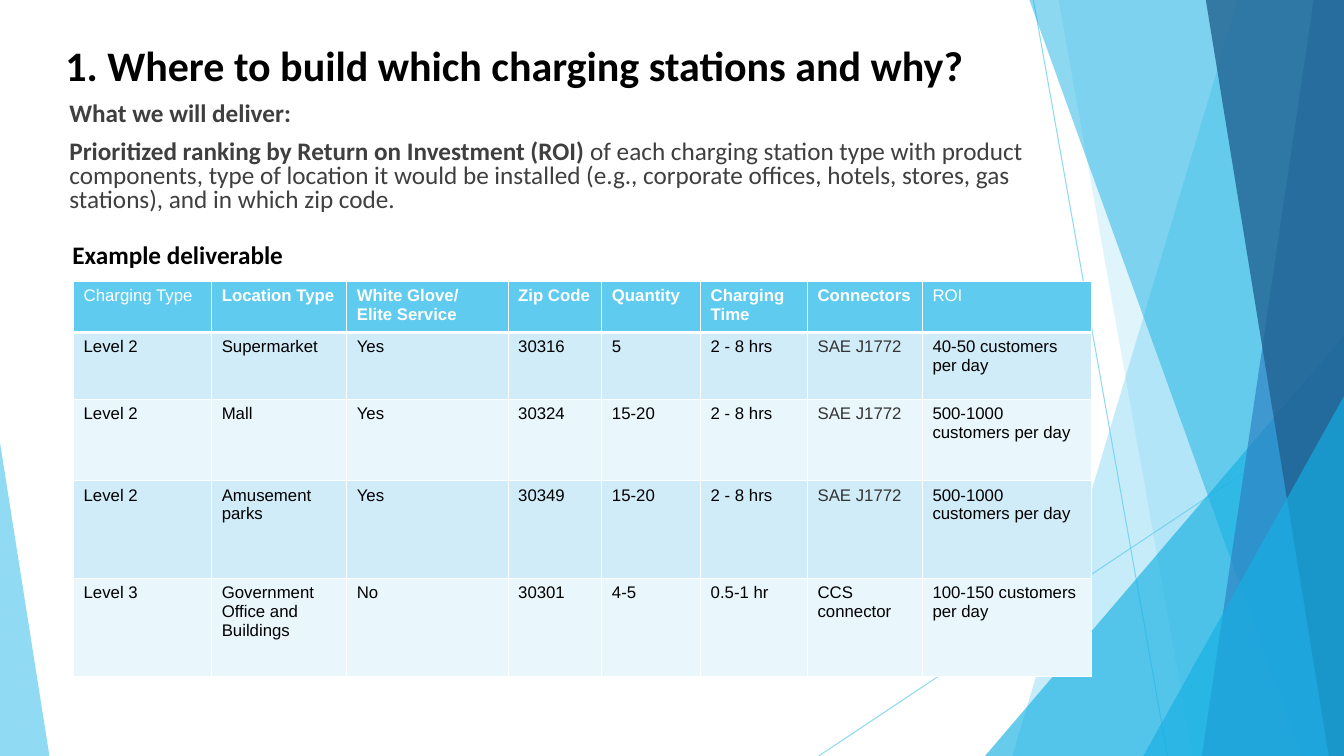
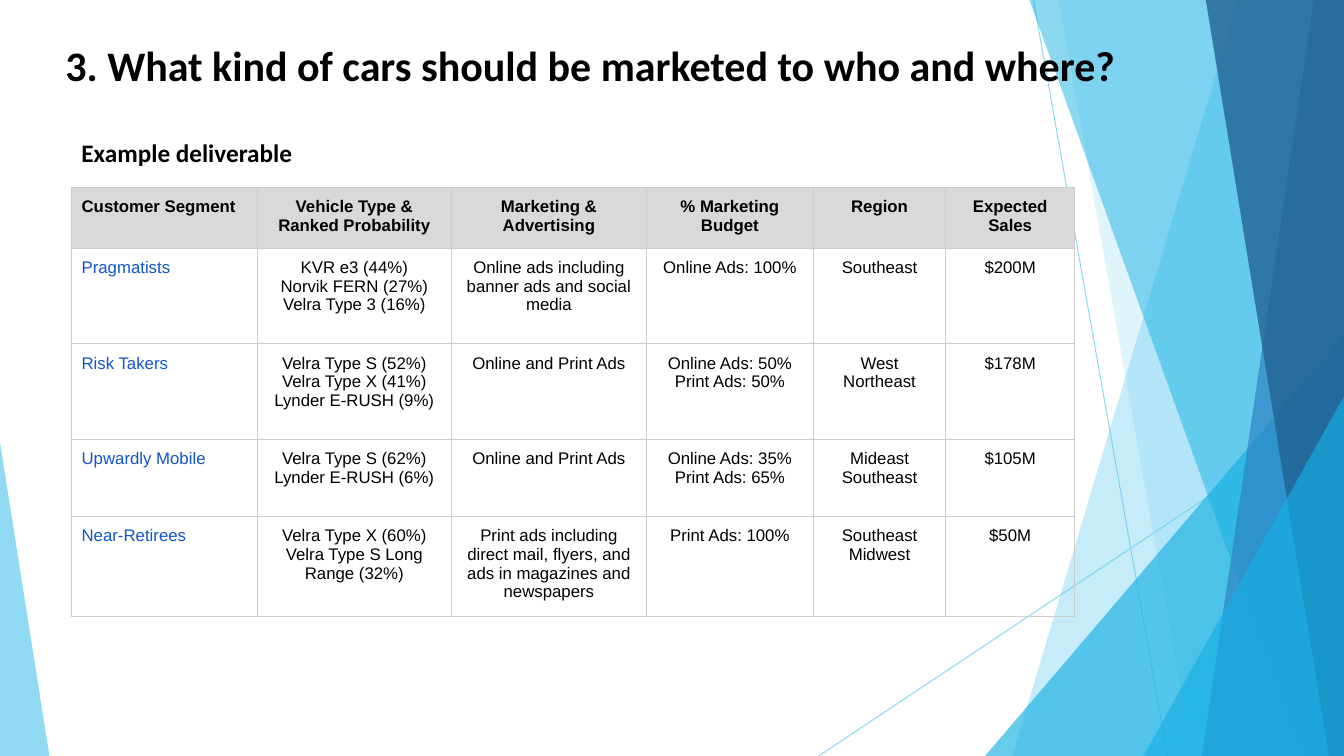
from dataclasses import dataclass

from lxml.etree import SubElement
from pptx import Presentation
from pptx.dml.color import RGBColor
from pptx.enum.shapes import MSO_CONNECTOR, MSO_SHAPE
from pptx.enum.text import MSO_ANCHOR, PP_ALIGN
from pptx.oxml.ns import qn
from pptx.util import Inches, Pt

WIDTH, HEIGHT = 13.33, 7.5
COLORS = {
    "sky": "5FCBEF",
    "cyan": "16B0E3",
    "blue": "2E83C3",
    "navy": "226292",
    "black": "000000",
    "body": "3F3F3F",
    "connector": "333333",
    "link": "1155CC",
    "white": "FFFFFF",
    "band_dark": "D1ECF9",
    "band_light": "E9F6FC",
    "head_gray": "D9D9D9",
    "rule_gray": "CCCCCC",
}
TITLE = {"name": "Calibri", "size": Pt(30), "bold": True}
HEADING = {"name": "Calibri", "size": Pt(18), "bold": True}
BODY = {**HEADING, "bold": False}
CELL = {"name": "Arial", "size": Pt(12), "bold": False}
CELL_HEAD = {**CELL, "bold": True}


@dataclass(frozen=True)
class Ray:
    start: tuple[float, float]
    end: tuple[float, float]


@dataclass(frozen=True)
class Band:
    top_x: float
    bottom_x: float
    color: str
    alpha: int


@dataclass(frozen=True)
class Peak:
    left: float
    top: float
    width: float
    apex: float
    color: str
    alpha: int


@dataclass(frozen=True)
class Span:
    text: str
    format: dict
    color: str = "black"


@dataclass(frozen=True)
class Grid:
    left: float
    top: float
    columns: list[float]
    heights: list[float]
    rows: list[list[str]]
    margin_y: float
    border: str
    border_points: float


RAYS = [Ray((10.25, 0), (11.58, HEIGHT)), Ray((WIDTH, 4.03), (8.12, HEIGHT))]
FACETS = [
    Band(12.28, 10.04, "sky", 35),
    Band(10.5, 11.83, "sky", 20),
    Peak(9.77, 3.33, 3.56, 1, "cyan", 65),
    Band(10.21, 12.91, "cyan", 49),
    Band(13.03, 11.92, "blue", 69),
    Band(11.96, 13.18, "navy", 80),
    Peak(11.34, 3.93, 1.99, 1, "cyan", 65),
    Peak(0, 4.39, 0.49, 0, "sky", 69),
]
STATIONS = Grid(
    0.73, 2.79,
    [1.37, 1.34, 1.6, 0.93, 0.98, 1.06, 1.14, 1.68],
    [0.51, 0.66, 0.81, 0.97, 0.97],
    [
        ["Charging Type", "Location Type", "White Glove/ Elite Service", "Zip Code",
         "Quantity", "Charging Time", "Connectors", "ROI"],
        ["Level 2", "Supermarket", "Yes", "30316", "5", "2 - 8 hrs", "SAE J1772",
         "40-50 customers per day"],
        ["Level 2", "Mall", "Yes", "30324", "15-20", "2 - 8 hrs", "SAE J1772",
         "500-1000 customers per day"],
        ["Level 2", "Amusement parks", "Yes", "30349", "15-20", "2 - 8 hrs", "SAE J1772",
         "500-1000 customers per day"],
        ["Level 3", "Government Office and Buildings", "No", "30301", "4-5", "0.5-1 hr",
         "CCS connector", "100-150 customers per day"],
    ],
    0.05, "white", 1,
)
SEGMENTS = Grid(
    0.71, 1.86,
    [1.84, 1.93, 1.93, 1.66, 1.31, 1.28],
    [0.58, 0.95, 0.95, 0.76, 0.95],
    [
        ["Customer Segment", "Vehicle Type & Ranked Probability", "Marketing & Advertising",
         "% Marketing Budget", "Region", "Expected Sales"],
        ["Pragmatists", "KVR e3 (44%)\nNorvik FERN (27%)\nVelra Type 3 (16%)",
         "Online ads including banner ads and social media", "Online Ads: 100%",
         "Southeast", "$200M"],
        ["Risk Takers", "Velra Type S (52%)\nVelra Type X (41%)\nLynder E-RUSH (9%)",
         "Online and Print Ads", "Online Ads: 50%\nPrint Ads: 50%",
         "West\nNortheast", "$178M"],
        ["Upwardly Mobile", "Velra Type S (62%)\nLynder E-RUSH (6%)",
         "Online and Print Ads", "Online Ads: 35%\nPrint Ads: 65%",
         "Mideast\nSoutheast", "$105M"],
        ["Near-Retirees", "Velra Type X (60%)\nVelra Type S Long Range (32%)",
         "Print ads including direct mail, flyers, and ads in magazines and newspapers",
         "Print Ads: 100%", "Southeast\nMidwest", "$50M"],
    ],
    0.1, "rule_gray", 0.75,
)


def rgb(color: str) -> RGBColor:
    return RGBColor.from_string(COLORS[color])


def set_alpha(shape, percent: int) -> None:
    for color in shape._element.iter(qn("a:srgbClr")):
        SubElement(color, qn("a:alpha"), val=str(percent * 1000))


def add_span(para, span: Span) -> None:
    run = para.add_run()
    run.text = span.text
    for name, value in span.format.items():
        setattr(run.font, name, value)
    run.font.color.rgb = rgb(span.color)


def add_text(page, left: float, top: float, width: float, height: float,
             paras: list[list[Span]], spacing: float = 1, gap: float = 0) -> None:
    box = page.shapes.add_textbox(Inches(left), Inches(top), Inches(width), Inches(height))
    frame = box.text_frame
    frame.word_wrap = True
    frame.vertical_anchor = MSO_ANCHOR.TOP
    for index, spans in enumerate(paras):
        para = frame.add_paragraph() if index else frame.paragraphs[0]
        para.line_spacing = spacing
        para.space_before = Pt(gap if index else 0)
        for span in spans:
            add_span(para, span)


def draw_ray(page, ray: Ray) -> None:
    points = [Inches(value) for value in (*ray.start, *ray.end)]
    connector = page.shapes.add_connector(MSO_CONNECTOR.STRAIGHT, *points)
    connector.line.color.rgb = rgb("sky")
    connector.line.width = Pt(0.75)
    set_alpha(connector, 69)
    SubElement(connector._element.spPr, qn("a:effectLst"))


def draw_facet(page, facet: Band | Peak) -> None:
    if isinstance(facet, Band):
        builder = page.shapes.build_freeform(Inches(facet.top_x), 0)
        corners = [(WIDTH, 0), (WIDTH, HEIGHT), (facet.bottom_x, HEIGHT)]
        builder.add_line_segments([(Inches(x), Inches(y)) for x, y in corners], close=True)
        shape = builder.convert_to_shape()
    else:
        shape = page.shapes.add_shape(
            MSO_SHAPE.ISOSCELES_TRIANGLE, Inches(facet.left), Inches(facet.top),
            Inches(facet.width), Inches(HEIGHT - facet.top))
        shape.adjustments[0] = facet.apex
    shape.shadow.inherit = False
    shape.fill.solid()
    shape.fill.fore_color.rgb = rgb(facet.color)
    shape.line.fill.background()
    set_alpha(shape, facet.alpha)


def set_borders(cell, color: str, points: float, bottom_points: float) -> None:
    properties = cell._tc.get_or_add_tcPr()
    for side in "LRTB":
        width = Pt(bottom_points if side == "B" else points)
        line = SubElement(properties, qn(f"a:ln{side}"), w=str(width))
        fill = SubElement(line, qn("a:solidFill"))
        SubElement(fill, qn("a:srgbClr"), val=COLORS[color])


def station_style(row: int, column: int, text: str) -> tuple:
    if row == 0:
        plain = text in ("Charging Type", "ROI")
        return "sky", "white", CELL if plain else CELL_HEAD, PP_ALIGN.LEFT
    color = "connector" if text == "SAE J1772" else "black"
    return "band_dark" if row % 2 else "band_light", color, CELL, PP_ALIGN.LEFT


def segment_style(row: int, column: int, text: str) -> tuple:
    align = PP_ALIGN.CENTER if column else PP_ALIGN.LEFT
    if row == 0:
        return "head_gray", "black", CELL_HEAD, align
    return None, "black" if column else "link", CELL, align


def add_grid(page, grid: Grid, style, head_rule: float) -> None:
    table = page.shapes.add_table(
        len(grid.rows), len(grid.columns), Inches(grid.left), Inches(grid.top),
        Inches(sum(grid.columns)), Inches(sum(grid.heights))).table
    table.first_row = table.horz_banding = False
    for column, width in zip(table.columns, grid.columns):
        column.width = Inches(width)
    for row, height in zip(table.rows, grid.heights):
        row.height = Inches(height)
    for row, texts in enumerate(grid.rows):
        for column, text in enumerate(texts):
            cell = table.cell(row, column)
            fill, color, font, align = style(row, column, text)
            cell.margin_top = cell.margin_bottom = Inches(grid.margin_y)
            bottom = grid.border_points if row else head_rule
            set_borders(cell, grid.border, grid.border_points, bottom)
            if fill:
                cell.fill.solid()
                cell.fill.fore_color.rgb = rgb(fill)
            else:
                cell.fill.background()
            for index, line in enumerate(text.split("\n")):
                frame = cell.text_frame
                para = frame.add_paragraph() if index else frame.paragraphs[0]
                para.alignment = align
                add_span(para, Span(line, font, color))


def add_page(deck, title: str):
    page = deck.slides.add_slide(deck.slide_layouts[6])
    for ray in RAYS:
        draw_ray(page, ray)
    for facet in FACETS:
        draw_facet(page, facet)
    add_text(page, 0.55, 0.34, 10.74, 0.73, [[Span(title, TITLE)]])
    return page


def add_label(page, left: float, top: float) -> None:
    add_text(page, left, top, 2.6, 0.4, [[Span("Example deliverable", HEADING)]])


def main() -> None:
    deck = Presentation()
    deck.slide_width, deck.slide_height = Inches(WIDTH), Inches(HEIGHT)

    page = add_page(deck, "1. Where to build which charging stations and why?")
    add_text(page, 0.59, 0.97, 10.44, 1.31, [
        [Span("What we will deliver:", HEADING, "body")],
        [Span("Prioritized ranking by Return on Investment (ROI)", HEADING, "body"),
         Span(" of each charging station type with product components, type of location it "
              "would be installed (e.g., corporate offices, hotels, stores, gas stations), "
              "and in which zip code.", BODY, "body")],
    ], spacing=0.8, gap=10)
    add_grid(page, STATIONS, station_style, 3)
    add_label(page, 0.62, 2.33)

    page = add_page(deck, "3. What kind of cars should be marketed to who and where?")
    add_grid(page, SEGMENTS, segment_style, SEGMENTS.border_points)
    add_label(page, 0.71, 1.31)

    deck.save("out.pptx")


if __name__ == "__main__":
    main()
